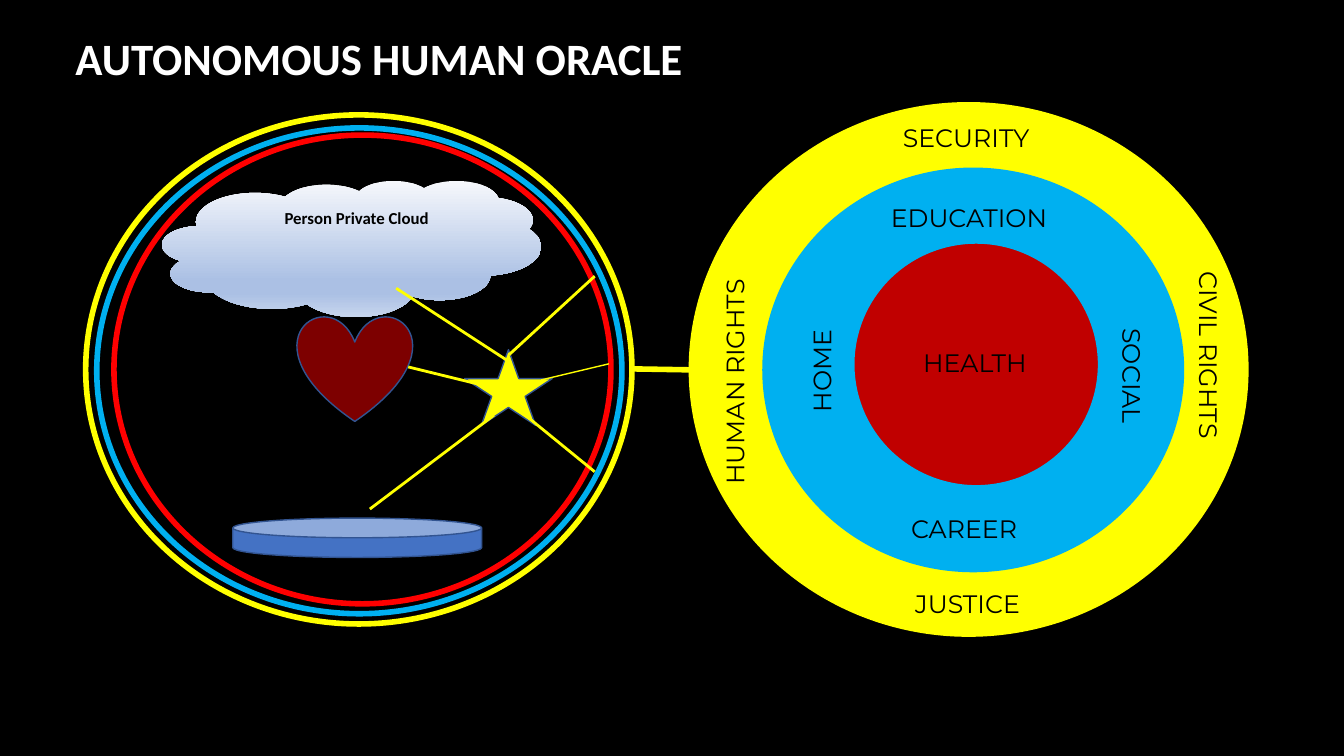
from copy import deepcopy
from lxml import etree
from pptx import Presentation
from pptx.dml.color import RGBColor
from pptx.enum.shapes import MSO_CONNECTOR, MSO_SHAPE as SHAPE
from pptx.enum.text import MSO_AUTO_SIZE, PP_ALIGN as ALIGN
from pptx.oxml.ns import qn
from pptx.util import Pt

BLACK = RGBColor(0x00, 0x00, 0x00)
WHITE = RGBColor(0xFF, 0xFF, 0xFF)
YELLOW = RGBColor(0xFF, 0xFF, 0x00)
SKY = RGBColor(0x00, 0xB0, 0xF0)
RED = RGBColor(0xFF, 0x00, 0x00)
CRIMSON = RGBColor(0xC0, 0x00, 0x00)
BLUE = RGBColor(0x44, 0x72, 0xC4)
OUTLINE = RGBColor(0x32, 0x54, 0x91)
CLOUD_STOPS = [
    (0, RGBColor(0xF6, 0xF8, 0xFC)),
    (0.74, RGBColor(0xAB, 0xC0, 0xE4)),
    (0.83, RGBColor(0xAB, 0xC0, 0xE4)),
    (1, RGBColor(0xC7, 0xD5, 0xED)),
]

prs = Presentation()
prs.slide_width, prs.slide_height = Pt(960), Pt(540)
slide = prs.slides.add_slide(prs.slide_layouts[6])
slide.background.fill.solid()
slide.background.fill.fore_color.rgb = BLACK


def add_text(text, left, top, width, height=28.8, size=18, font="Montserrat",
             color=BLACK, bold=False, align=ALIGN.LEFT, rotation=0):
    box = slide.shapes.add_textbox(Pt(left), Pt(top), Pt(width), Pt(height))
    box.rotation = rotation
    frame = box.text_frame
    frame.word_wrap = True
    frame.auto_size = MSO_AUTO_SIZE.SHAPE_TO_FIT_TEXT
    paragraph = frame.paragraphs[0]
    paragraph.alignment = align
    run = paragraph.add_run()
    run.text = text
    run.font.size, run.font.name = Pt(size), font
    run.font.bold, run.font.color.rgb = bold, color


def add_figure(kind, box, fill=None, line=None, weight=1):
    figure = slide.shapes.add_shape(kind, *map(Pt, box))
    figure.shadow.inherit = False
    if fill is None:
        figure.fill.background()
    else:
        figure.fill.solid()
        figure.fill.fore_color.rgb = fill
    if line is None:
        figure.line.fill.background()
    else:
        figure.line.color.rgb = line
        figure.line.width = Pt(weight)
    return figure


cloud = add_figure(SHAPE.CLOUD, (115.9, 128.9, 270.7, 97.2))
cloud.fill.gradient()
cloud.fill.gradient_angle = 270
stop_list = cloud._element.spPr.find(qn("a:gradFill")).find(qn("a:gsLst"))
for stop in list(stop_list):
    stop_list.append(deepcopy(stop))
for stop, (position, color) in zip(cloud.fill.gradient_stops, CLOUD_STOPS):
    stop.position = position
    stop.color.rgb = color

storage = add_figure(SHAPE.CAN, (166.3, 370.1, 177.8, 28.1), BLUE, OUTLINE)
storage.adjustments[0] = 0.5

heart = add_figure(SHAPE.HEART, (212.4, 225.4, 82.1, 75.6), RED, OUTLINE)
heart_color = heart._element.spPr.find(qn("a:solidFill"))[0]
etree.SubElement(heart_color, qn("a:alpha")).set("val", "49000")

add_text("Person Private Cloud", 188.6, 144.7, 132.5, 21.6, size=12,
         font="Calibri", bold=True, align=ALIGN.CENTER)
add_figure(SHAPE.OVAL, (81.4, 96.5, 355, 334.8), line=RED, weight=4)
add_figure(SHAPE.STAR_5_POINT, (331.9, 249.8, 62.6, 54), YELLOW, OUTLINE)

for box, fill, line in [
    ((493.9, 74.9, 396, 378), YELLOW, YELLOW),
    ((546.5, 121.7, 297.4, 285.1), SKY, SKY),
    ((608.4, 172.1, 177.8, 176.4), CRIMSON, SKY),
]:
    add_figure(SHAPE.OVAL, box, fill, line, 4)

for ends, weight in [
    ((386.6, 271.4, 434.9, 259.9), 1),
    ((374.4, 295.9, 424.8, 337), 2),
    ((363.6, 253.4, 424.8, 197.3), 2),
    ((264.2, 363.6, 352.8, 296.6), 2),
    ((291.6, 262.1, 344.2, 275), 2),
    ((283, 205.9, 365, 259.2), 2),
    ((451.4, 263.5, 493.9, 264.2), 4),
]:
    link = slide.shapes.add_connector(MSO_CONNECTOR.STRAIGHT, *map(Pt, ends))
    link.line.color.rgb = YELLOW
    link.line.width = Pt(weight)
    etree.SubElement(link._element.spPr, qn("a:effectLst"))

for label, left, top, width, rotation, align in [
    ("SECURITY", 601.2, 84.2, 177.8, 0, ALIGN.CENTER),
    ("CIVIL RIGHTS", 787, 249.1, 153.4, 90, ALIGN.LEFT),
    ("HUMAN RIGHTS", 434.9, 249.1, 179.3, 270, ALIGN.LEFT),
    ("JUSTICE", 646.6, 416.9, 113.8, 0, ALIGN.LEFT),
    ("HEALTH", 652.3, 244.8, 110.2, 0, ALIGN.LEFT),
    ("EDUCATION", 629.3, 141.1, 141.8, 0, ALIGN.LEFT),
    ("CAREER", 643.7, 362.9, 116.6, 0, ALIGN.LEFT),
    ("HOME", 500.4, 250.6, 172.8, 270, ALIGN.CENTER),
    ("SOCIAL", 732.2, 254.2, 153.4, 90, ALIGN.CENTER),
]:
    add_text(label, left, top, width, rotation=rotation, align=align)

add_figure(SHAPE.OVAL, (61.2, 82.1, 390.2, 363.6), line=YELLOW, weight=4)
add_figure(SHAPE.OVAL, (69.1, 91.4, 375.1, 347), line=SKY, weight=4)
add_text("AUTONOMOUS HUMAN ORACLE", 46.8, 18.7, 619.2, 46.1, size=32,
         font="Calibri", color=WHITE, bold=True)

prs.save("out.pptx")
